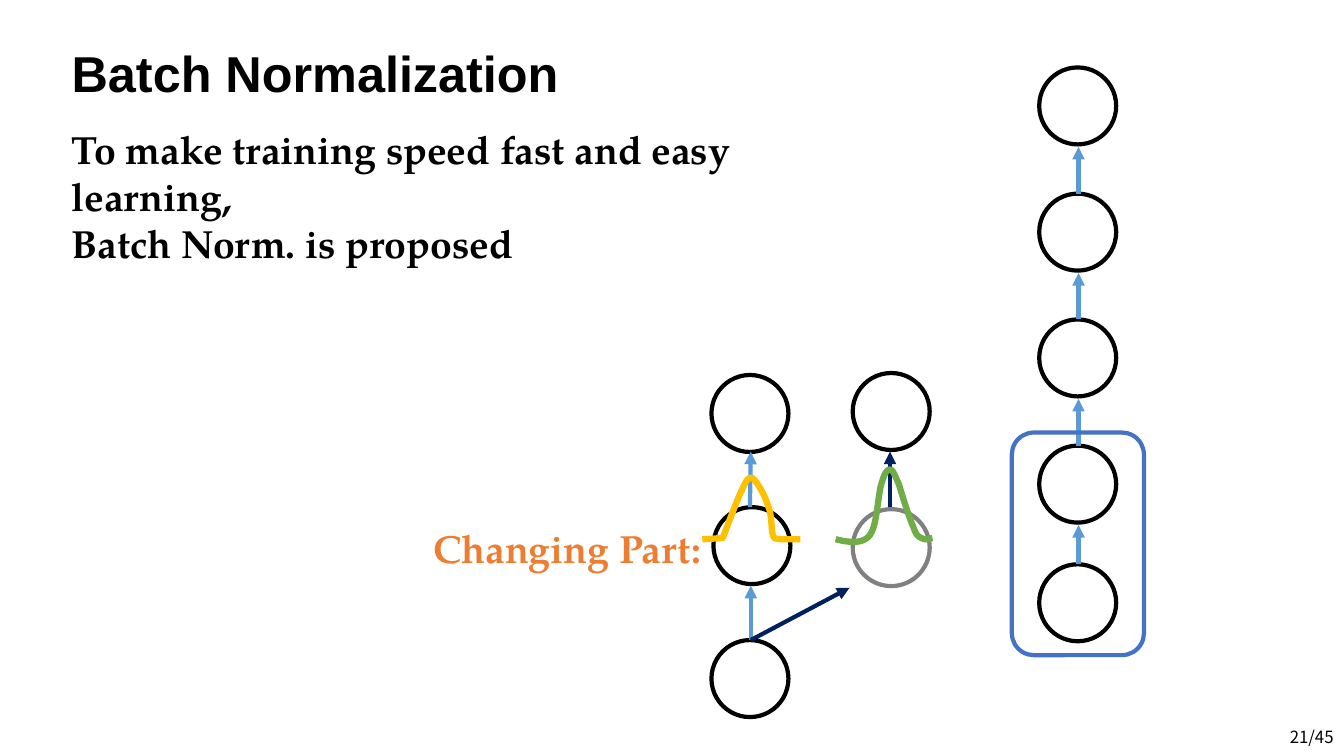
import lxml.etree
import pptx
import pptx.dml.color
import pptx.enum.shapes
import pptx.enum.text
import pptx.oxml.ns
import pptx.util

Cm = pptx.util.Cm
Pt = pptx.util.Pt
ALIGN = pptx.enum.text.PP_ALIGN
ANCHOR = pptx.enum.text.MSO_ANCHOR
SHAPE = pptx.enum.shapes.MSO_SHAPE

COLORS = {
    "black": "000000", "white": "FFFFFF", "gray": "808080",
    "sky": "5B9BD5", "blue": "4472C4", "navy": "002060",
    "orange": "ED7D31", "gold": "FFC000", "green": "70AD47",
}
TITLE_FONT = {"name": "Arial", "size": Pt(36), "bold": True}
TEXT_FONT = {"name": "TeX Gyre Pagella", "size": Pt(28), "bold": True}
NUMBER_FONT = {"name": "Noto Sans CJK KR", "size": Pt(12), "bold": False}

NODE_SIZE = 1.94
COLUMN_LEFT = 26.19
COLUMN_ARROW_X = 27.18
COLUMN_TOPS = [1.7, 4.88, 8.05, 11.23, 14.22]
BRANCH_NODES = [(17.93, 16.13), (17.93, 9.45), (17.98, 12.78), (21.49, 9.4)]
BRANCH_ARROWS = [
    ((18.92, 16.13), (18.92, 14.76), "sky"),
    ((18.9, 12.78), (18.92, 11.38), "sky"),
    ((18.92, 16.13), (21.41, 14.81), "navy"),
    ((22.43, 12.78), (22.43, 11.38), "navy"),
]
# Each step is one point for a line, or three for a cubic curve.
GOLD_BELL = [
    [(18.16, 13.56)],
    [(18.24, 13.54), (18.19, 13.61), (18.26, 13.44)],
    [(18.34, 13.23), (18.54, 12.7), (18.64, 12.47)],
    [(18.75, 12.24), (18.82, 12.01), (18.95, 12.04)],
    [(19.05, 12.09), (19.28, 12.47), (19.35, 12.73)],
    [(19.46, 12.95), (19.43, 13.34), (19.48, 13.49)],
    [(19.53, 13.61), (19.58, 13.56), (19.69, 13.59)],
    [(20.17, 13.59)],
]
GREEN_BELL = [
    [(21.39, 13.67), (21.74, 13.72), (21.92, 13.49)],
    [(22.12, 13.23), (22.12, 12.42), (22.23, 12.14)],
    [(22.3, 11.89), (22.38, 11.81), (22.45, 11.84)],
    [(22.5, 11.84), (22.56, 11.99), (22.66, 12.22)],
    [(22.73, 12.47), (22.91, 13.03), (23.01, 13.26)],
    [(23.09, 13.49), (23.14, 13.52), (23.22, 13.56)],
    [(23.32, 13.61), (23.37, 13.59), (23.5, 13.56)],
]


def rgb(color):
    return pptx.dml.color.RGBColor.from_string(COLORS[color])


def apply(target, values):
    for name, value in values.items():
        setattr(target, name, value)


def add_element(parent, tag, **attributes):
    return lxml.etree.SubElement(parent, pptx.oxml.ns.qn(tag), attributes)


def flatten(start, steps, pieces=10):
    """Turn lines and cubic curves into a list of points after start."""
    points = []
    for step in steps:
        if len(step) == 1:
            points.append(step[0])
        else:
            for piece in range(1, pieces + 1):
                t = piece / pieces
                weights = ((1 - t) ** 3, 3 * t * (1 - t) ** 2, 3 * t * t * (1 - t), t ** 3)
                points.append(tuple(
                    sum(w * value for w, value in zip(weights, axis))
                    for axis in zip(start, *step)))
        start = step[-1]
    return points


class SlideBuilder:
    def __init__(self, slide):
        self.slide = slide
        self.line_width = Pt(3)

    def fill_text(self, shape, lines, font, color="black", align=ALIGN.LEFT,
                  anchor=ANCHOR.TOP, spacing=1.0):
        frame = shape.text_frame
        apply(frame, {"word_wrap": True, "vertical_anchor": anchor,
                      "auto_size": pptx.enum.text.MSO_AUTO_SIZE.NONE})
        frame.text = "\n".join(lines)
        for paragraph in frame.paragraphs:
            if shape.is_placeholder:
                properties = paragraph._p.get_or_add_pPr()
                properties.set("marL", "0")
                properties.set("indent", "0")
                add_element(properties, "a:buNone")
            apply(paragraph, {"alignment": align, "line_spacing": spacing,
                              "space_before": Pt(0)})
            apply(paragraph.font, font)
            paragraph.font.color.rgb = rgb(color)

    def placeholder(self, index, box, lines, font, **style):
        shape = self.slide.placeholders[index]
        apply(shape, dict(zip(("left", "top", "width", "height"), map(Cm, box))))
        self.fill_text(shape, lines, font, **style)

    def text(self, box, line, font, **style):
        shape = self.slide.shapes.add_textbox(*map(Cm, box))
        self.fill_text(shape, [line], font, **style)

    def outline(self, shape, color, fill=None, width=None):
        shape.shadow.inherit = False
        if fill:
            shape.fill.solid()
            shape.fill.fore_color.rgb = rgb(fill)
        else:
            shape.fill.background()
        shape.line.color.rgb = rgb(color)
        shape.line.width = width or self.line_width

    def node(self, left, top, color="black"):
        shape = self.slide.shapes.add_shape(
            SHAPE.OVAL, *map(Cm, (left, top, NODE_SIZE, NODE_SIZE)))
        self.outline(shape, color, "white")

    def frame(self, box, color):
        shape = self.slide.shapes.add_shape(SHAPE.ROUNDED_RECTANGLE, *map(Cm, box))
        self.outline(shape, color)

    def arrow(self, start, end, color):
        connector = self.slide.shapes.add_connector(
            pptx.enum.shapes.MSO_CONNECTOR.STRAIGHT, *map(Cm, start + end))
        connector.line.color.rgb = rgb(color)
        connector.line.width = self.line_width
        add_element(connector.line._get_or_add_ln(), "a:tailEnd", type="triangle")
        add_element(connector._element.spPr, "a:effectLst")

    def curve(self, start, steps, color):
        builder = self.slide.shapes.build_freeform(*map(Cm, start))
        points = [(Cm(x), Cm(y)) for x, y in flatten(start, steps)]
        builder.add_line_segments(points, close=False)
        self.outline(builder.convert_to_shape(), color, width=Pt(4.5))


def main():
    presentation = pptx.Presentation()
    presentation.slide_width = Cm(33.87)
    presentation.slide_height = Cm(19.05)
    slide = presentation.slides.add_slide(presentation.slide_layouts[1])
    builder = SlideBuilder(slide)

    builder.placeholder(0, (1.55, 1.09, 20.93, 1.65), ["Batch Normalization"],
                        TITLE_FONT, anchor=ANCHOR.MIDDLE, spacing=0.9)
    builder.placeholder(1, (1.55, 3.02, 21.29, 2.64),
                        ["To make training speed fast and easy learning,",
                         "Batch Norm. is proposed"], TEXT_FONT)

    for top in COLUMN_TOPS:
        builder.node(COLUMN_LEFT, top)
    for upper, lower in zip(COLUMN_TOPS, COLUMN_TOPS[1:]):
        builder.arrow((COLUMN_ARROW_X, lower),
                      (COLUMN_ARROW_X, upper + NODE_SIZE + 0.06), "sky")
    builder.frame((25.5, 10.9, 3.33, 5.61), "blue")

    builder.node(21.49, 12.83, "gray")
    for left, top in BRANCH_NODES:
        builder.node(left, top)
    for start, end, color in BRANCH_ARROWS:
        builder.arrow(start, end, color)
    builder.text((10.67, 13.08, 7.62, 1.45), "Changing Part:", TEXT_FONT, color="orange")
    builder.curve((17.7, 13.59), GOLD_BELL, "gold")
    builder.curve((21.06, 13.59), GREEN_BELL, "green")

    builder.text((26.24, 18.06, 7.62, 1.02), "21/45", NUMBER_FONT,
                 align=ALIGN.RIGHT, anchor=ANCHOR.MIDDLE)
    presentation.save("out.pptx")


if __name__ == "__main__":
    main()
